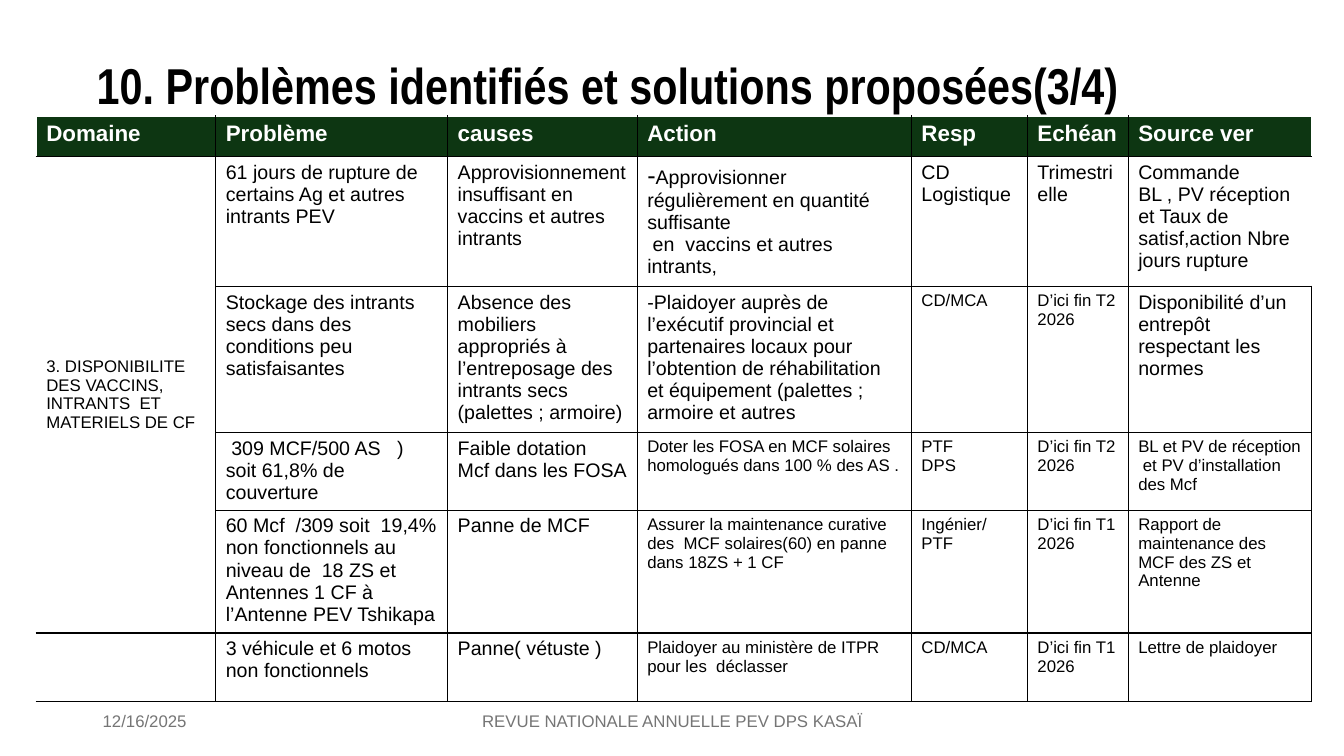
from lxml.etree import SubElement
from pptx import Presentation
from pptx.dml.color import RGBColor
from pptx.enum.text import MSO_ANCHOR as ANCHOR, PP_ALIGN as ALIGN
from pptx.oxml.ns import qn
from pptx.util import Inches, Pt

COLORS = {"black": "000000", "white": "FFFFFF", "green": "0D3612", "gray": "757575"}

COL_WIDTHS = [1.78, 2.3, 1.88, 2.72, 1.15, 1, 1.82]
ROW_HEIGHTS = [0.4, 1.29, 1.45, 0.77, 1.22, 0.68]
DOMAIN_ROWS = (1, 4)  # first and last row of the merged domain cell

HEADERS = ["Domaine", "Problème", "causes", "Action", "Resp", "Echéan", "Source ver"]
DOMAIN = "3. DISPONIBILITE DES VACCINS, INTRANTS  ET MATERIELS DE CF"

# Each row: text sizes and texts from the "Problème" column on; "\n" parts paragraphs
LATE_SIZES = [14, 14, 12, 12, 12, 12]
ROWS = [
    ([14] * 6, [
        "61 jours de rupture de certains Ag et autres intrants PEV",
        "Approvisionnement insuffisant en vaccins et autres intrants",
        "-Approvisionner régulièrement en quantité suffisante\n en  vaccins et autres intrants,",
        "CD Logistique",
        "Trimestrielle",
        "Commande\nBL , PV réception et Taux de satisf,action Nbre jours rupture"]),
    ([14, 14, 14, 12, 12, 14], [
        "Stockage des intrants secs dans des conditions peu satisfaisantes",
        "Absence des mobiliers appropriés à l’entreposage des intrants secs (palettes ; armoire)",
        "-Plaidoyer auprès de l’exécutif provincial et partenaires locaux pour l’obtention "
        "de réhabilitation et équipement (palettes ; armoire et autres",
        "CD/MCA",
        "D’ici fin T2 2026",
        "Disponibilité d’un entrepôt respectant les normes"]),
    (LATE_SIZES, [
        " 309 MCF/500 AS   ) soit 61,8% de couverture",
        "Faible dotation  Mcf dans les FOSA",
        "Doter les FOSA en MCF solaires homologués dans 100 % des AS .",
        "PTF\nDPS",
        "D’ici fin T2 2026",
        "BL et PV de réception  et PV d’installation des Mcf"]),
    (LATE_SIZES, [
        "60 Mcf  /309 soit  19,4% non fonctionnels au niveau de  18 ZS et Antennes 1 CF "
        "à l’Antenne PEV Tshikapa",
        "Panne de MCF",
        "Assurer la maintenance curative  des  MCF solaires(60) en panne dans 18ZS + 1 CF",
        "Ingénier/PTF",
        "D’ici fin T1 2026",
        "Rapport de maintenance des MCF des ZS et Antenne"]),
    (LATE_SIZES, [
        "3 véhicule et 6 motos non fonctionnels",
        "Panne( vétuste )",
        "Plaidoyer au ministère de ITPR pour les  déclasser",
        "CD/MCA",
        "D’ici fin T1 2026",
        "Lettre de plaidoyer"]),
]


def rgb(name):
    return RGBColor.from_string(COLORS[name])


def set_text(tf, text, size, color, bold=False, font="Arial"):
    tf.text = text
    for p in tf.paragraphs:
        p.font.size = Pt(size)
        p.font.name = font
        p.font.bold = bold
        p.font.color.rgb = rgb(color)


def add_label(slide, box, text, size, color, align=ALIGN.LEFT, **font):
    sp = slide.shapes.add_textbox(*map(Inches, box))
    tf = sp.text_frame
    tf.word_wrap = True
    tf.vertical_anchor = ANCHOR.MIDDLE
    set_text(tf, text, size, color, **font)
    tf.paragraphs[0].alignment = align
    return tf


def set_borders(cell, left, right, top, bottom):
    tc_pr = cell._tc.get_or_add_tcPr()
    for side, color in zip("LRTB", (left, right, top, bottom)):
        ln = SubElement(tc_pr, qn(f"a:ln{side}"), w=str(Pt(1)))
        fill = SubElement(ln, qn("a:solidFill"))
        SubElement(fill, qn("a:srgbClr"), val=COLORS[color])


def style_cells(table):
    last_col = len(COL_WIDTHS) - 1
    for i, row in enumerate(table.rows):
        for j, cell in enumerate(row.cells):
            # White outer edges: left, top, and the right of the first two rows
            set_borders(cell,
                        left="white" if j == 0 else "black",
                        right="white" if j == last_col and i < 2 else "black",
                        top="white" if i == 0 else "black",
                        bottom="black")
            if i == 0:
                cell.fill.solid()
                cell.fill.fore_color.rgb = rgb("green")
            else:
                cell.fill.background()


def enlarge_dash(p, size):
    """Give the leading dash of a paragraph its own size."""
    dash = p.runs[0]
    rest = p.add_run()
    rest.text = dash.text[1:]
    dash.text = "-"
    dash.font.size = Pt(size)


def add_problem_table(slide):
    frame = slide.shapes.add_table(
        len(ROW_HEIGHTS), len(COL_WIDTHS), Inches(0.36), Inches(1.15),
        Inches(sum(COL_WIDTHS)), Inches(sum(ROW_HEIGHTS)))
    table = frame.table
    table.horz_banding = False
    for col, width in zip(table.columns, COL_WIDTHS):
        col.width = Inches(width)
    for row, height in zip(table.rows, ROW_HEIGHTS):
        row.height = Inches(height)
    style_cells(table)

    # Header row
    for j, header in enumerate(HEADERS):
        set_text(table.cell(0, j).text_frame, header, 16, "white", bold=True)

    # Domain cell
    first, last = DOMAIN_ROWS
    domain = table.cell(first, 0)
    domain.merge(table.cell(last, 0))
    domain.vertical_anchor = ANCHOR.MIDDLE
    set_text(domain.text_frame, DOMAIN, 12, "black")

    # Body: no bottom margin, so that full cells keep to the row heights
    for i, (sizes, texts) in enumerate(ROWS, start=1):
        for j, (size, text) in enumerate(zip(sizes, texts), start=1):
            cell = table.cell(i, j)
            cell.margin_bottom = 0
            set_text(cell.text_frame, text, size, "black")
    enlarge_dash(table.cell(1, 3).text_frame.paragraphs[0], 18)


def main():
    prs = Presentation()
    prs.slide_width, prs.slide_height = Inches(13.33), Inches(7.5)
    slide = prs.slides.add_slide(prs.slide_layouts[6])

    # Title
    title = add_label(slide, (0.63, 0.43, 12.06, 0.89),
                      "10. Problèmes identifiés et solutions proposées(3/4)",
                      36, "black", bold=True, font="Arial Narrow")
    title.margin_left = Inches(0.33)
    title.paragraphs[0].line_spacing = 0.9

    add_problem_table(slide)

    # Footer
    add_label(slide, (0.92, 6.95, 3, 0.4), "12/16/2025", 12, "gray")
    add_label(slide, (4.42, 6.95, 4.5, 0.4), "REVUE NATIONALE ANNUELLE PEV DPS KASAÏ",
              12, "gray", ALIGN.CENTER)

    prs.save("out.pptx")


if __name__ == "__main__":
    main()
